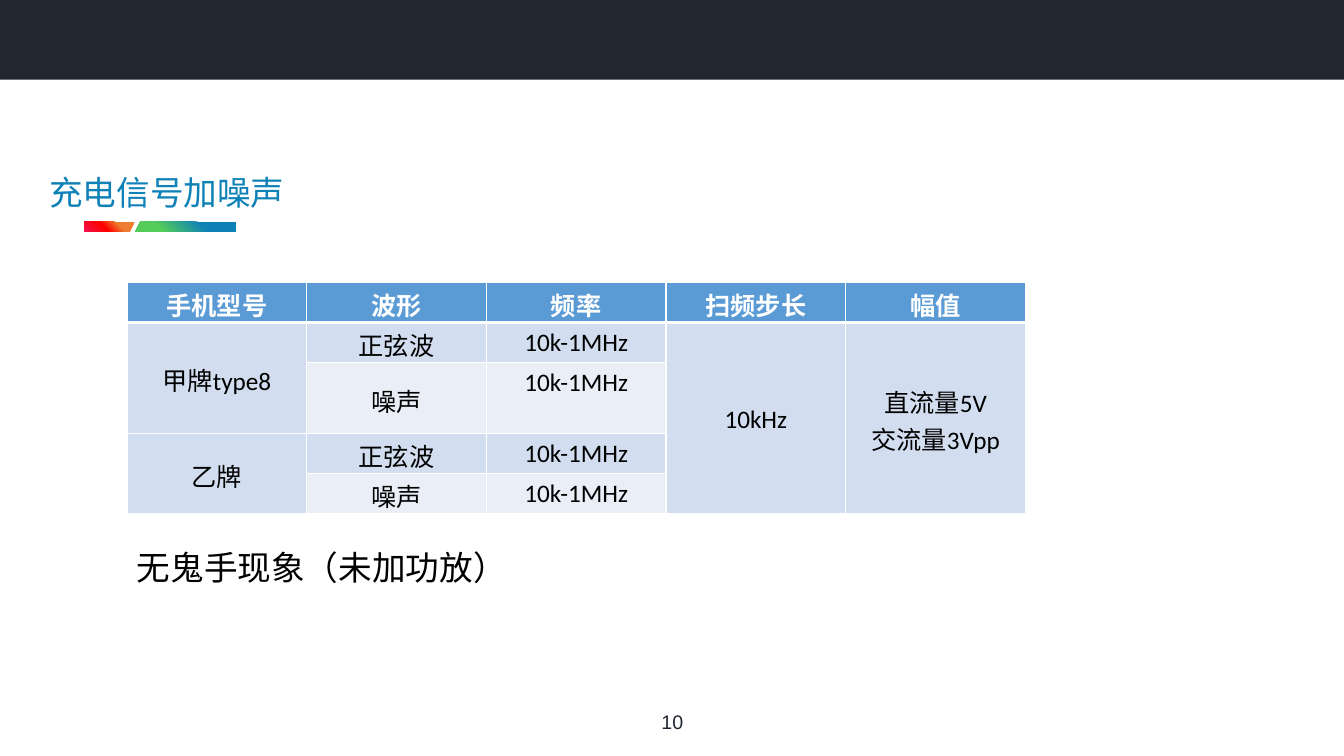
import pptx
import pptx.dml.color
import pptx.enum.shapes
import pptx.enum.text
import pptx.oxml
import pptx.oxml.ns
import pptx.util

ALIGN = pptx.enum.text.PP_ALIGN
ANCHOR = pptx.enum.text.MSO_ANCHOR
CJK = "Noto Sans CJK SC"
INK, BLUE, WHITE, BLACK = "202731", "0E81B7", "FFFFFF", "000000"
HEADER, BAND_DARK, BAND_LIGHT = "5B9BD5", "D2DEEF", "EAEFF7"


def color(hex_code):
    return pptx.dml.color.RGBColor.from_string(hex_code)


def element(xml):
    return pptx.oxml.parse_xml(xml.replace(">", " " + pptx.oxml.ns.nsdecls("a") + ">", 1))


class SlideBuilder:
    """Places elements by percent of the slide's width and height."""

    def __init__(self, deck):
        self.width, self.height = deck.slide_width, deck.slide_height
        self.slide = deck.slides.add_slide(deck.slide_layouts[6])
        self.shapes = self.slide.shapes

    def x(self, share):
        return round(self.width * share / 100)

    def y(self, share):
        return round(self.height * share / 100)

    def box(self, left, top, width, height):
        return self.x(left), self.y(top), self.x(width), self.y(height)

    def add_words(self, paragraph, words, size, ink, latin=CJK, bold=False):
        run = paragraph.add_run()
        run.text = words
        run.font.size = pptx.util.Pt(size)
        run.font.bold = bold
        run.font.color.rgb = color(ink)
        run.font.name = latin
        run.font._element.append(element(f'<a:ea typeface="{CJK}"></a:ea>'))

    def text(self, place, words, size, ink, latin=CJK, align=ALIGN.LEFT, spacing=1.0):
        frame = self.shapes.add_textbox(*self.box(*place)).text_frame
        frame.word_wrap = True
        frame.vertical_anchor = ANCHOR.MIDDLE
        paragraph = frame.paragraphs[0]
        paragraph.alignment = align
        paragraph.line_spacing = spacing
        self.add_words(paragraph, words, size, ink, latin)

    def band(self, place, fill):
        band = self.shapes.add_shape(pptx.enum.shapes.MSO_SHAPE.RECTANGLE, *self.box(*place))
        band.shadow.inherit = False
        band.fill.solid()
        band.fill.fore_color.rgb = color(fill)
        band.line.fill.background()

    def gradient_outline(self, corners, stops):
        points = [(self.x(across), self.y(down)) for across, down in corners]
        builder = self.shapes.build_freeform(*points[0])
        builder.add_line_segments(points[1:], close=True)
        outline = builder.convert_to_shape()
        outline.shadow.inherit = False
        outline.line.fill.background()
        # Radial gradient spreading from the lower left corner
        marks = "".join(f'<a:gs pos="{at * 1000}"><a:srgbClr val="{shade}"/></a:gs>'
                        for at, shade in stops)
        gradient = element(f'<a:gradFill><a:gsLst>{marks}</a:gsLst><a:path path="circle">'
                           '<a:fillToRect t="100000" r="100000"/></a:path></a:gradFill>')
        outline._element.spPr.find(pptx.oxml.ns.qn("a:custGeom")).addnext(gradient)

    def borders(self, cell, widths):
        properties = cell._tc.get_or_add_tcPr()
        for order, (side, points) in enumerate(widths.items()):
            properties.insert(order, element(
                f'<a:ln{side} w="{points * 12700}"><a:solidFill><a:srgbClr val="{WHITE}"/>'
                f'</a:solidFill></a:ln{side}>'))

    def table(self, left, top, width, row_heights, rows, merges):
        place = self.box(left, top, width, sum(row_heights))
        table = self.shapes.add_table(len(rows), len(rows[0]), *place).table
        for column in table.columns:
            column.width = place[2] // len(rows[0])
        for row, height in zip(table.rows, row_heights):
            row.height = self.y(height)
        for first, last in merges:
            table.cell(*first).merge(table.cell(*last))
        for r, row in enumerate(rows):
            for c, words in enumerate(row):
                self.fill_cell(table.cell(r, c), words, r == 0, r % 2 == 1)

    def fill_cell(self, cell, words, is_header, is_dark):
        cell.fill.solid()
        cell.fill.fore_color.rgb = color(
            HEADER if is_header else BAND_DARK if is_dark else BAND_LIGHT)
        self.borders(cell, {"L": 1, "R": 1, "T": 1, "B": 3 if is_header else 1})
        # Frequency ranges sit at the top of their cells
        cell.vertical_anchor = ANCHOR.TOP if words == RANGE else ANCHOR.MIDDLE
        cell.margin_top = pptx.util.Inches(0.05 if words == RANGE else 0.04)
        cell.margin_bottom = 0
        for i, line in enumerate(words.split("\n") if words else []):
            frame = cell.text_frame
            paragraph = frame.add_paragraph() if i else frame.paragraphs[0]
            paragraph.alignment = ALIGN.CENTER
            self.add_words(paragraph, line, 18, WHITE if is_header else BLACK,
                           "Calibri", is_header)


RANGE = "10k-1MHz"
MEASUREMENTS = [
    ["手机型号", "波形", "频率", "扫频步长", "幅值"],
    ["甲牌type8", "正弦波", RANGE, "10kHz", "直流量5V\n交流量3Vpp"],
    ["", "噪声", RANGE, "", ""],
    ["乙牌", "正弦波", RANGE, "", ""],
    ["", "噪声", RANGE, "", ""],
]
MERGES = [((1, 0), (2, 0)), ((3, 0), (4, 0)), ((1, 3), (4, 3)), ((1, 4), (4, 4))]


def main():
    deck = pptx.Presentation()
    deck.slide_width = pptx.util.Inches(13.33)
    deck.slide_height = pptx.util.Inches(7.5)
    page = SlideBuilder(deck)

    # Page number and top band
    page.text((45.6, 93.2, 8.85, 4.53), "10", 14, INK, "Arial", ALIGN.CENTER)
    page.band((0, 0, 100, 10.53), INK)

    # Two-part accent under the title
    upper, lower = 29.33, 30.67
    page.gradient_outline([(6.3, upper), (10.05, upper), (9.68, lower), (6.3, lower)],
                          [(0, "F0134E"), (40, "FF0000"), (68, "ED7D31")])
    page.gradient_outline([(17.55, lower), (10.05, lower), (10.43, upper), (17.55, upper)],
                          [(26, "54CC5B"), (67, BLUE)])

    # Title and conclusion
    page.text((2.93, 22.67, 26.93, 6), "充电信号加噪声", 24, BLUE, spacing=0.9)
    page.text((9.45, 71.73, 47.49, 6.67), "无鬼手现象（未加功放）", 24, BLACK)

    # Measurement table
    page.table(9.45, 37.33, 66.84, [5.33, 5.33, 9.33, 5.33, 5.33], MEASUREMENTS, MERGES)

    deck.save("out.pptx")


if __name__ == "__main__":
    main()
